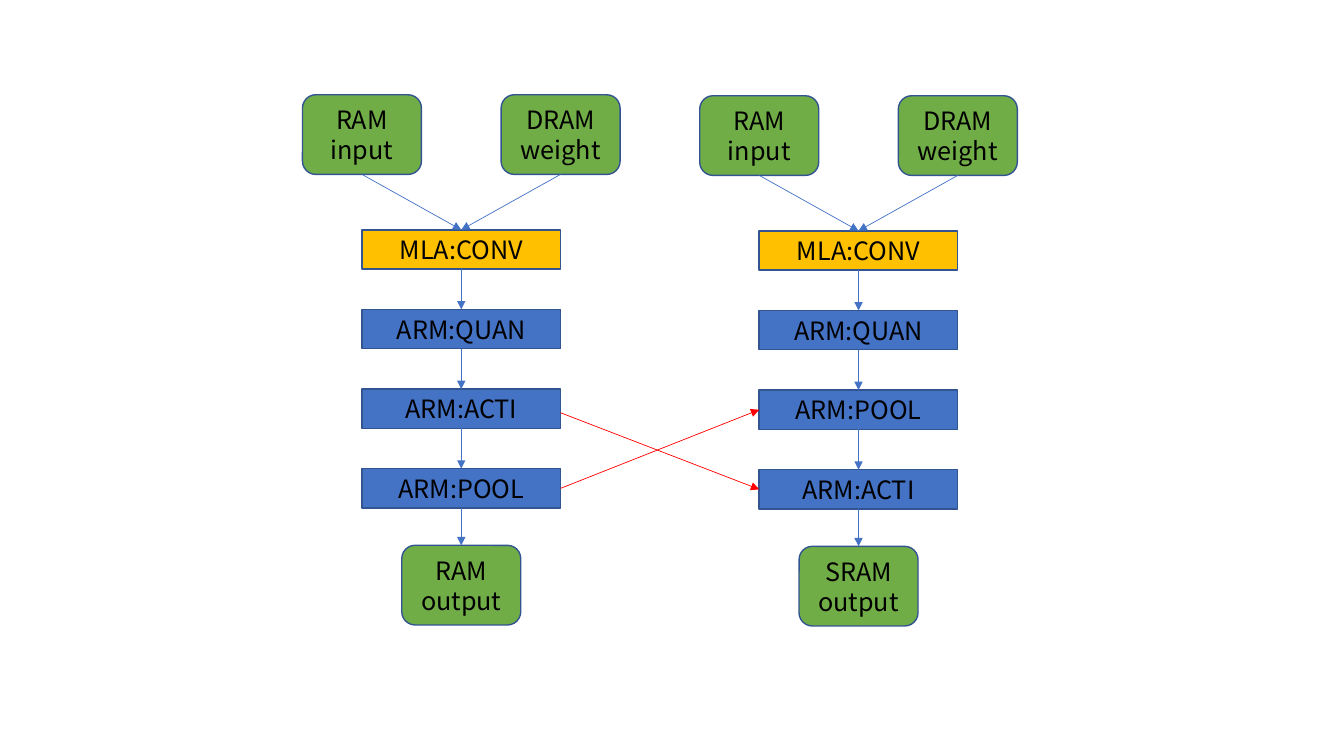
from itertools import pairwise

from lxml import etree
from pptx import Presentation
from pptx import util as u
from pptx.dml.color import RGBColor
from pptx.enum import shapes, text
from pptx.oxml import ns

PX = 9144
FONT = "Noto Sans CJK SC"
BLACK = RGBColor(0x00, 0x00, 0x00)
GREEN = RGBColor(0x70, 0xAD, 0x47)
AMBER = RGBColor(0xFF, 0xC0, 0x00)
BLUE = RGBColor(0x44, 0x72, 0xC4)
NAVY = RGBColor(0x32, 0x54, 0x91)
RED = RGBColor(0xFF, 0x00, 0x00)
TOP, LEFT, BOTTOM, RIGHT = range(4)
MEMORY_SIZE = (118, 79)
STEP_SIZE = (197, 39)
STEP_PITCH = 79
FLOW_WIDTH = 315


def node(page, kind, center, top, size, label, color):
    """Draw a labelled block centred on a given x and return it."""
    width, height = size
    box = page.shapes.add_shape(
        kind, round((center - width / 2) * PX), top * PX, width * PX, height * PX)
    box.shadow.inherit = False
    box.fill.solid()
    box.fill.fore_color.rgb = color
    box.line.color.rgb = NAVY
    box.line.width = u.Pt(1)
    frame = box.text_frame
    frame.text = label
    frame.vertical_anchor = text.MSO_ANCHOR.MIDDLE
    for para in frame.paragraphs:
        para.alignment = text.PP_ALIGN.CENTER
        para.font.name = FONT
        para.font.size = u.Pt(18)
        para.font.color.rgb = BLACK
    return box


def memory(page, center, top, label):
    """Draw a rounded green memory block."""
    return node(page, shapes.MSO_SHAPE.ROUNDED_RECTANGLE, center, top,
                MEMORY_SIZE, label, GREEN)


def arrow(page, source, target, sides=(BOTTOM, TOP), color=BLUE, drop=0):
    """Draw an arrow between two blocks, optionally starting below the right middle."""
    start_x = source.left + source.width
    start_y = source.top + source.height // 2 + drop * PX
    line = page.shapes.add_connector(
        shapes.MSO_CONNECTOR.STRAIGHT, start_x, start_y, target.left, target.top)
    if not drop:
        line.begin_connect(source, sides[0])
    line.end_connect(target, sides[1])
    line.line.color.rgb = color
    line.line.width = u.Pt(0.5)
    etree.SubElement(line.line._get_or_add_ln(), ns.qn("a:tailEnd"), type="triangle")
    etree.SubElement(line._element.spPr, ns.qn("a:effectLst"))


def flow(page, left, top, step_names, output):
    """Draw one processing flow and return its steps by name."""
    center = left + FLOW_WIDTH / 2
    inputs = [
        memory(page, left + MEMORY_SIZE[0] / 2, top, "RAM\ninput"),
        memory(page, left + FLOW_WIDTH - MEMORY_SIZE[0] / 2, top, "DRAM\nweight"),
    ]
    steps = {}
    for index, name in enumerate(step_names):
        steps[name] = node(
            page, shapes.MSO_SHAPE.RECTANGLE, center, top + 134 + index * STEP_PITCH,
            STEP_SIZE, name, AMBER if name.startswith("MLA") else BLUE)
    chain = [*steps.values(), memory(page, center, top + 447, output)]
    for source in inputs:
        arrow(page, source, chain[0])
    for source, target in pairwise(chain):
        arrow(page, source, target)
    return steps


def main():
    """Build the slide with two flows and the swap between them."""
    deck = Presentation()
    deck.slide_width, deck.slide_height = 1333 * PX, 750 * PX
    page = deck.slides.add_slide(deck.slide_layouts[6])
    before = flow(page, 300, 94,
                  ("MLA:CONV", "ARM:QUAN", "ARM:ACTI", "ARM:POOL"), "RAM\noutput")
    after = flow(page, 694, 95,
                 ("MLA:CONV", "ARM:QUAN", "ARM:POOL", "ARM:ACTI"), "SRAM\noutput")
    for name, drop in (("ARM:POOL", 0), ("ARM:ACTI", 4)):
        arrow(page, before[name], after[name], (RIGHT, LEFT), RED, drop)
    deck.save("out.pptx")


if __name__ == "__main__":
    main()
